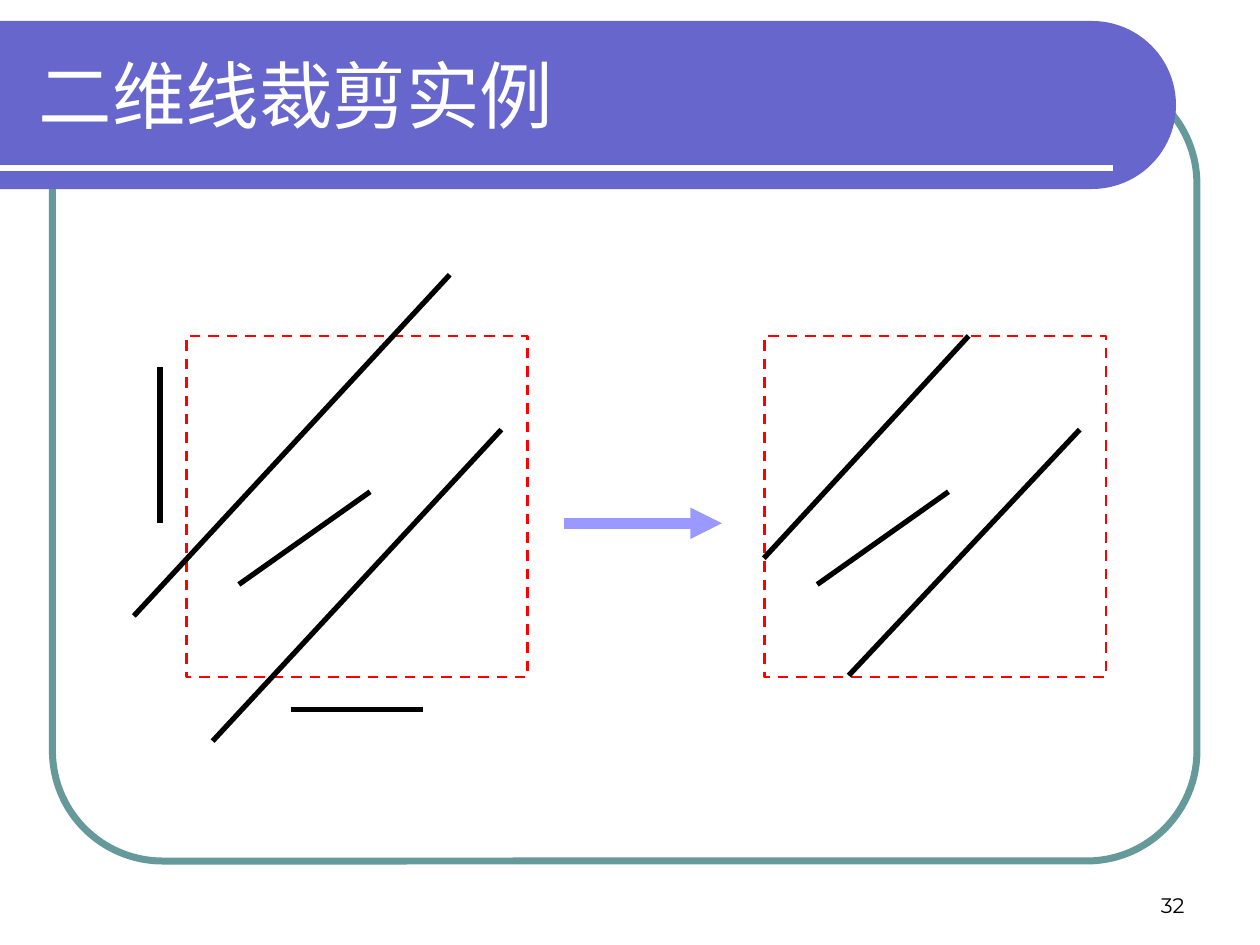
from dataclasses import dataclass
from math import cos, pi, sin

from lxml.etree import SubElement
from pptx import Presentation
from pptx.dml.color import RGBColor
from pptx.enum.dml import MSO_LINE
from pptx.enum.shapes import MSO_CONNECTOR, MSO_SHAPE
from pptx.enum.text import MSO_ANCHOR, PP_ALIGN
from pptx.oxml.ns import qn
from pptx.util import Pt


@dataclass(frozen=True)
class Theme:
    banner: RGBColor = RGBColor(0x66, 0x66, 0xCC)
    frame: RGBColor = RGBColor(0x66, 0x99, 0x99)
    window: RGBColor = RGBColor(0xFF, 0x00, 0x00)
    arrow: RGBColor = RGBColor(0x99, 0x99, 0xFF)
    white: RGBColor = RGBColor(0xFF, 0xFF, 0xFF)
    black: RGBColor = RGBColor(0x00, 0x00, 0x00)
    title_font: str = "Arial"
    title_size: int = 42
    number_font: str = "Montserrat"
    number_size: int = 12


THEME = Theme()

WINDOW_LEFT, WINDOW_TOP, WINDOW_SIZE = 106.5, 192, 195
RESULT_SHIFT = 330.5
INSIDE_SEGMENT = (136.5, 334, 211.5, 281)
SOURCE_SEGMENTS = [
    (76.5, 352, 257, 157),
    (91.5, 299, 91.5, 210),
    (166.5, 405.5, 242, 405.5),
    INSIDE_SEGMENT,
    (286.5, 245.5, 121.5, 423.5),
]
CLIPPED_SEGMENTS = [
    (106, 319, 223, 192),
    INSIDE_SEGMENT,
    (286.5, 245.5, 154.5, 386),
]


def add_outline(slide, preset, box, color, width):
    outline = slide.shapes.add_shape(preset, *map(Pt, box))
    outline.shadow.inherit = False
    outline.fill.background()
    outline.line.color.rgb = color
    outline.line.width = Pt(width)
    return outline


def add_segment(slide, ends, color, width):
    segment = slide.shapes.add_connector(MSO_CONNECTOR.STRAIGHT, *map(Pt, ends))
    segment.line.color.rgb = color
    segment.line.width = Pt(width)
    SubElement(segment._element.spPr, qn("a:effectLst"))
    return segment


def add_arrow(slide, ends):
    arrow = add_segment(slide, ends, THEME.arrow, 6)
    SubElement(arrow.line._get_or_add_ln(), qn("a:tailEnd"), type="triangle")


def add_banner(slide, top, radius, center_x):
    steps = 48
    angles = [pi * step / steps - pi / 2 for step in range(steps + 1)]
    curve = [
        (center_x + radius * cos(angle), top + radius + radius * sin(angle))
        for angle in angles
    ]
    builder = slide.shapes.build_freeform(0, Pt(top))
    points = curve + [(0, top + 2 * radius)]
    builder.add_line_segments([(Pt(x), Pt(y)) for x, y in points], close=True)
    banner = builder.convert_to_shape()
    banner.shadow.inherit = False
    banner.fill.solid()
    banner.fill.fore_color.rgb = THEME.banner
    banner.line.fill.background()


def add_label(slide, box, text, font, size, color, align, anchor):
    frame = slide.shapes.add_textbox(*map(Pt, box)).text_frame
    frame.word_wrap = True
    frame.vertical_anchor = anchor
    frame.text = text
    paragraph = frame.paragraphs[0]
    paragraph.alignment = align
    for run in paragraph.runs:
        run.font.name = font
        run.font.size = Pt(size)
        run.font.color.rgb = color


def add_clip_view(slide, shift, segments):
    box = (WINDOW_LEFT + shift, WINDOW_TOP, WINDOW_SIZE, WINDOW_SIZE)
    window = add_outline(slide, MSO_SHAPE.RECTANGLE, box, THEME.window, 1.5)
    window.line.dash_style = MSO_LINE.DASH
    for x1, y1, x2, y2 in segments:
        add_segment(slide, (x1 + shift, y1, x2 + shift, y2), THEME.black, 3)


def main():
    presentation = Presentation()
    presentation.slide_width, presentation.slide_height = Pt(720), Pt(540)
    slide = presentation.slides.add_slide(presentation.slide_layouts[6])

    frame = add_outline(
        slide, MSO_SHAPE.ROUNDED_RECTANGLE, (30, 42, 654, 450), THEME.frame, 4
    )
    frame.adjustments[0] = 0.14
    add_banner(slide, top=12, radius=48, center_x=624)
    add_segment(slide, (0, 96, 636, 96), THEME.white, 3)
    add_label(
        slide, (516, 492, 168, 36), "32", THEME.number_font, THEME.number_size,
        THEME.black, PP_ALIGN.RIGHT, MSO_ANCHOR.BOTTOM,
    )
    add_label(
        slide, (15, 18, 631.5, 72), "二维线裁剪实例", THEME.title_font,
        THEME.title_size, THEME.white, PP_ALIGN.LEFT, MSO_ANCHOR.MIDDLE,
    )

    add_clip_view(slide, 0, SOURCE_SEGMENTS)
    add_clip_view(slide, RESULT_SHIFT, CLIPPED_SEGMENTS)
    add_arrow(slide, (322.5, 299, 412.5, 299))

    presentation.save("out.pptx")


if __name__ == "__main__":
    main()
